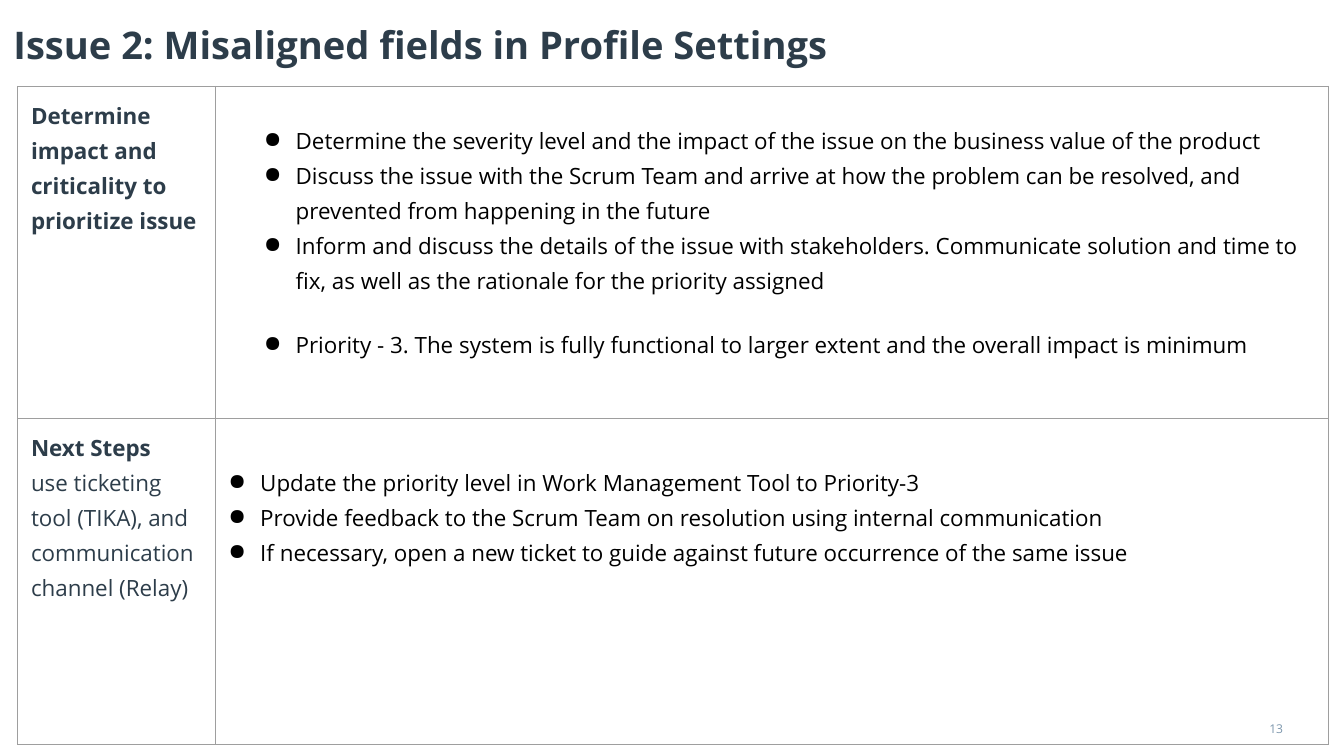
from lxml import etree
from pptx import Presentation
from pptx.dml.color import RGBColor
from pptx.enum.text import MSO_ANCHOR, MSO_AUTO_SIZE, PP_ALIGN
from pptx.oxml.ns import qn
from pptx.util import Pt

MID, TOP = MSO_ANCHOR.MIDDLE, MSO_ANCHOR.TOP
LEFT, CENTER = PP_ALIGN.LEFT, PP_ALIGN.CENTER
FIXED = MSO_AUTO_SIZE.NONE

THEME = {
    "font": "Open Sans", "ink": "2D3D4A", "black": "000000",
    "mute": "7D97AD", "rule": "9E9E9E",
    "title": 20.4, "body": 12, "page": 6.5, "line": 0.34,
}

TITLE = "Issue 2: Misaligned fields in Profile Settings"
PAGE = "13"
ROWS = [
    {
        "height": 177.8, "top": 18.8, "indent": 36,
        "head": ["Determine impact and criticality to prioritize issue"],
        "items": [
            ("Determine the severity level and the impact of the issue on "
             "the business value of the product", 0),
            ("Discuss the issue with the Scrum Team and arrive at how the "
             "problem can be resolved, and prevented from happening in the "
             "future", 0),
            ("Inform and discuss the details of the issue with stakeholders. "
             "Communicate solution and time to fix, as well as the rationale "
             "for the priority assigned", 0),
            ("Priority - 3. The system is fully functional to larger extent "
             "and the overall impact is minimum", 15.5),
        ],
    },
    {
        "height": 175, "top": 24.15, "indent": 17,
        "head": ["Next Steps",
                 "use ticketing tool (TIKA), and communication channel (Relay)"],
        "items": [
            ("Update the priority level in Work Management Tool to Priority-3", 0),
            ("Provide feedback to the Scrum Team on resolution using internal "
             "communication", 0),
            ("If necessary, open a new ticket to guide against future "
             "occurrence of the same issue", 0),
        ],
    },
]
COLS = [105.8, 596.2]
HANG = 17


def write(frame, text, size="body", color="ink", bold=False, align=LEFT,
          space=1.15, before=0, indent=None):
    para = frame.paragraphs[0]
    if para.runs:
        para = frame.add_paragraph()
    para.alignment, para.line_spacing = align, space
    para.space_before, para.space_after = Pt(before), Pt(0)
    run = para.add_run()
    run.text = text
    font = run.font
    font.name, font.size, font.bold = THEME["font"], Pt(THEME[size]), bold
    font.color.rgb = RGBColor.from_string(THEME[color])
    if indent is not None:
        props = para._p.get_or_add_pPr()
        props.set("marL", str(Pt(indent)))
        props.set("indent", str(-Pt(HANG)))
        tint = etree.SubElement(props, qn("a:buClr"))
        etree.SubElement(tint, qn("a:srgbClr"), val=THEME[color])
        etree.SubElement(props, qn("a:buChar"), char="●")


def pad(frame, gap):
    frame.margin_left = frame.margin_right = Pt(gap)
    frame.margin_top = frame.margin_bottom = Pt(gap)


def style(cell, top):
    pad(cell, 7.2)
    cell.margin_top = Pt(top)
    cell.vertical_anchor = TOP
    props = cell._tc.get_or_add_tcPr()
    for side in ("lnL", "lnR", "lnT", "lnB"):
        line = etree.SubElement(props, qn("a:" + side), w=str(Pt(THEME["line"])))
        fill = etree.SubElement(line, qn("a:solidFill"))
        etree.SubElement(fill, qn("a:srgbClr"), val=THEME["rule"])
    cell.fill.background()


deck = Presentation()
deck.slide_width, deck.slide_height = Pt(720), Pt(405)
slide = deck.slides.add_slide(deck.slide_layouts[5])

title = slide.shapes.title
title.left, title.top, title.width, title.height = Pt(0), Pt(5.4), Pt(652.3), Pt(39.6)
frame = title.text_frame
pad(frame, 7.2)
frame.word_wrap, frame.auto_size, frame.vertical_anchor = True, FIXED, MID
write(frame, TITLE, size="title", bold=True, space=0.9)

table = slide.shapes.add_table(
    len(ROWS), len(COLS), Pt(9.4), Pt(46.1), Pt(sum(COLS)),
    Pt(sum(row["height"] for row in ROWS))).table
table.first_row = table.horz_banding = False
for col, width in zip(table.columns, COLS):
    col.width = Pt(width)
for num, row in enumerate(ROWS):
    table.rows[num].height = Pt(row["height"])
    label, detail = table.cell(num, 0), table.cell(num, 1)
    style(label, 5.4)
    style(detail, row["top"])
    for pos, text in enumerate(row["head"]):
        write(label.text_frame, text, bold=pos == 0)
    for text, gap in row["items"]:
        write(detail.text_frame, text, color="black", before=gap,
              indent=row["indent"])

page = slide.shapes.add_textbox(Pt(679.7), Pt(387.4), Pt(8), Pt(8.6)).text_frame
pad(page, 0)
page.word_wrap = False
write(page, PAGE, size="page", color="mute", align=CENTER, space=0.9)

deck.save("out.pptx")
